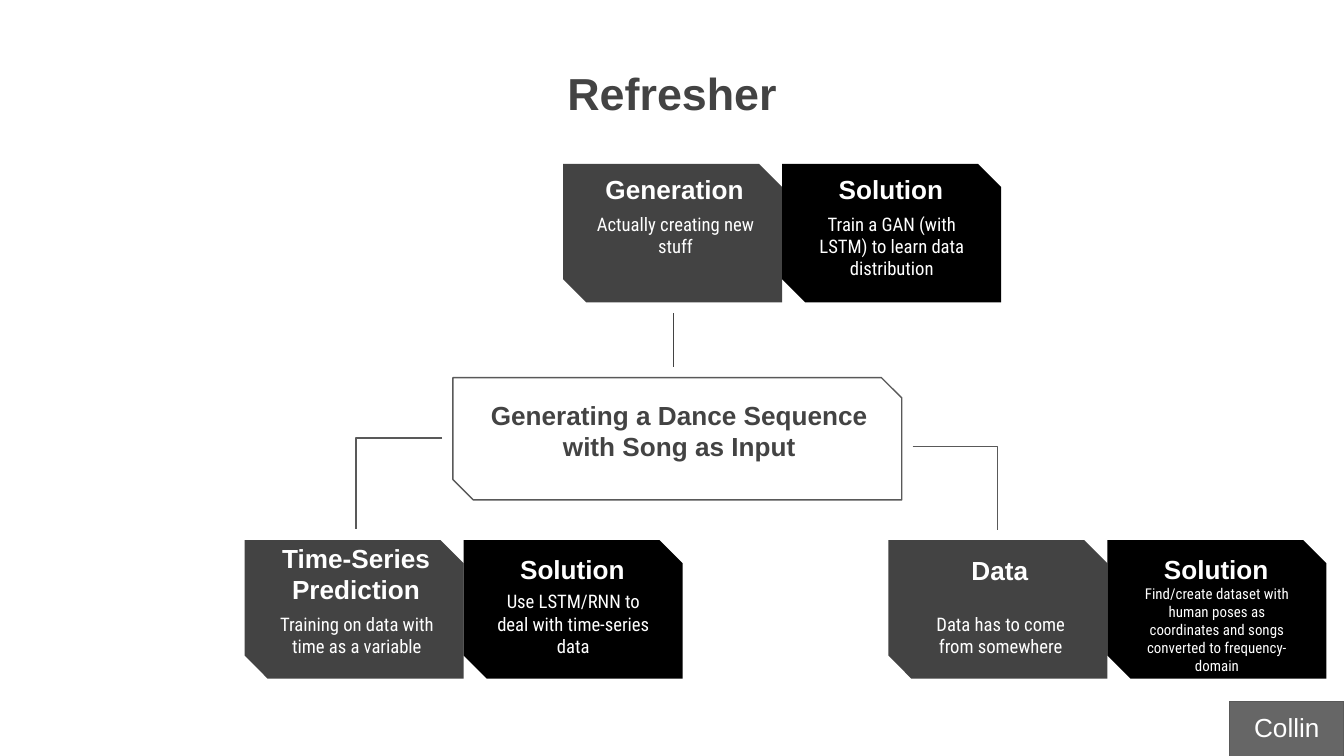
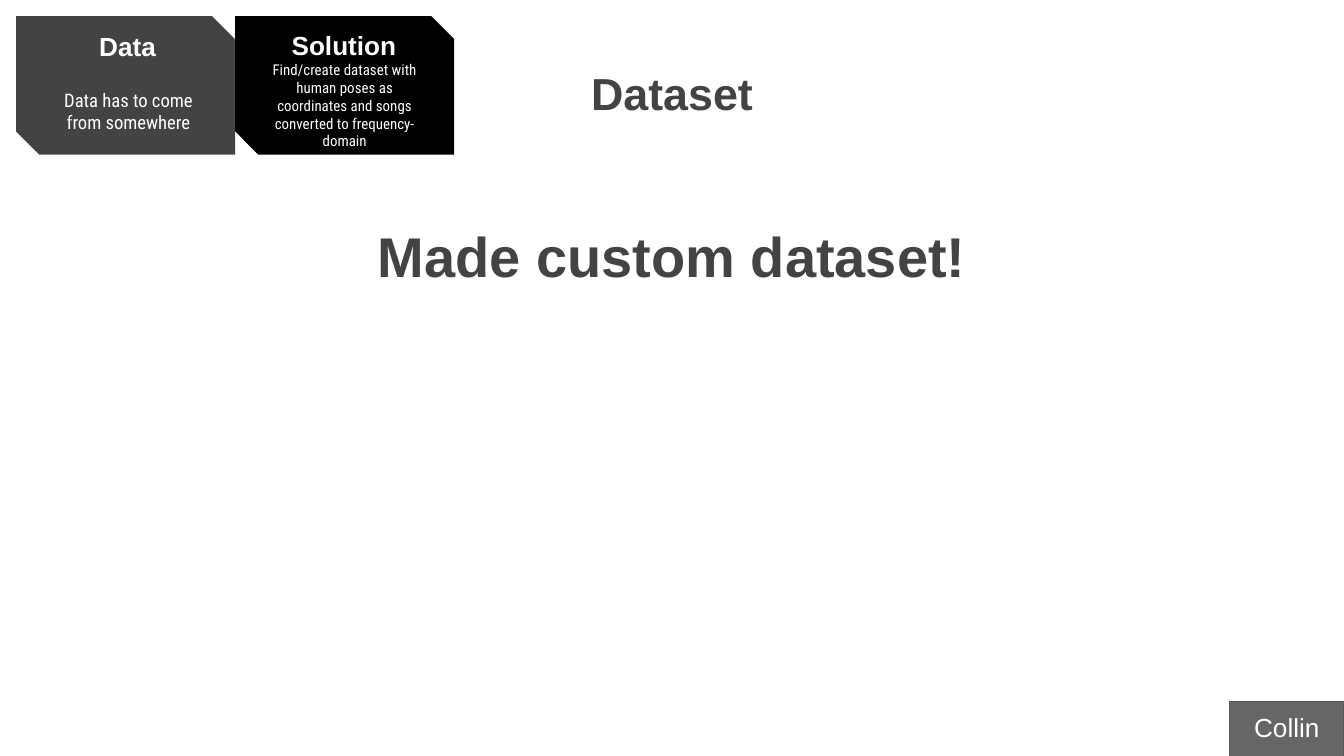
from dataclasses import dataclass

from lxml import etree
from pptx import Presentation
from pptx.dml.color import RGBColor
from pptx.enum import shapes, text
from pptx.oxml.ns import qn
from pptx.util import Inches, Pt


@dataclass(frozen=True)
class Theme:
    """Colours, fonts and type sizes shared by the slides."""
    ink: str = "434343"
    black: str = "000000"
    white: str = "FFFFFF"
    outline: str = "595959"
    tag: str = "666666"
    head_font: str = "Arial"
    body_font: str = "Roboto Condensed"
    title: int = 24
    statement: int = 30
    heading: int = 14
    body: int = 10
    small: int = 8
    rule: float = 0.75


@dataclass(frozen=True)
class Card:
    """One card's wording and how far its texts sit below its top edge."""
    heading: str
    body: str
    heading_drop: float
    body_drop: float
    body_size: int = Theme.body


THEME = Theme()
SLIDE_W = 10
SLIDE_H = SLIDE_W * 9 / 16
CARD_W, CARD_H = 1.63, 1.03
HEADING_W, HEADING_H = 1.56, 0.43
BODY_W, BODY_H = 1.41, 0.68
TITLE_BOX = (2.15, 0.39, 5.7, 1.03)
PAIR_LOOK = ((THEME.ink, 0.05), (THEME.black, 0.03))

GENERATION = (
    Card("Generation", "Actually creating new stuff", -0.03, 0.26),
    Card("Solution", "Train a GAN (with LSTM) to learn data distribution", -0.03, 0.26),
)
TIME_SERIES = (
    Card("Time-Series Prediction", "Training on data with time as a variable", 0.15, 0.44),
    Card("Solution", "Use LSTM/RNN to deal with time-series data", 0, 0.27),
)
DATA = (
    Card("Data", "Data has to come from somewhere", 0.01, 0.44),
    Card("Solution", "Find/create dataset with human poses as coordinates and songs "
         "converted to frequency-domain", 0, 0.23, THEME.small),
)


def rgb(value):
    """Turn a hex string into a colour."""
    return RGBColor.from_string(value)


def inches(*lengths):
    """Turn numbers into lengths in inches."""
    return [Inches(length) for length in lengths]


def write(frame, wording, *, size, color, font=THEME.head_font, bold=False,
          anchor=text.MSO_ANCHOR.TOP):
    """Put one centred, formatted paragraph into a text frame."""
    frame.text = wording
    frame.word_wrap = True
    frame.auto_size = text.MSO_AUTO_SIZE.NONE
    frame.vertical_anchor = anchor
    frame.margin_left = frame.margin_right = Inches(0.1)
    frame.margin_top = frame.margin_bottom = Inches(0.1)
    paragraph = frame.paragraphs[0]
    paragraph.alignment = text.PP_ALIGN.CENTER
    paragraph.space_before = Pt(0)
    run_font = paragraph.runs[0].font
    run_font.name, run_font.size, run_font.bold = font, Pt(size), bold
    run_font.color.rgb = rgb(color)


def add_text(slide, box, wording, **style):
    """Add a text box."""
    write(slide.shapes.add_textbox(*inches(*box)).text_frame, wording, **style)


def add_panel(slide, preset, box, fill=None, line=None):
    """Add a flat shape with an optional fill and outline."""
    panel = slide.shapes.add_shape(preset, *inches(*box))
    panel.shadow.inherit = False
    if fill:
        panel.fill.solid()
        panel.fill.fore_color.rgb = rgb(fill)
    else:
        panel.fill.background()
    if line:
        panel.line.color.rgb = rgb(line)
        panel.line.width = Pt(THEME.rule)
    else:
        panel.line.fill.background()
    return panel


def add_snipped(slide, box, **look):
    """Add a panel with two opposite corners cut off."""
    panel = add_panel(slide, shapes.MSO_SHAPE.SNIP_2_DIAG_RECTANGLE, box, **look)
    panel.adjustments[0], panel.adjustments[1] = 0, 0.167


def add_link(slide, kind, start, end, color):
    """Add a thin connector; an elbow turns once, right above its end."""
    link = slide.shapes.add_connector(kind, *inches(*start, *end))
    link.line.color.rgb = rgb(color)
    link.line.width = Pt(THEME.rule)
    properties = link._element.spPr
    etree.SubElement(properties, qn("a:effectLst"))
    if kind == shapes.MSO_CONNECTOR.ELBOW:
        guides = properties.find(qn("a:prstGeom")).get_or_add_avLst()
        etree.SubElement(guides, qn("a:gd"), name="adj1", fmla="val 100000")


def add_card(slide, left, top, card, fill, inset):
    """Add a snipped card with its heading and body."""
    add_snipped(slide, (left, top, CARD_W, CARD_H), fill=fill)
    add_text(slide, (left + inset, top + card.heading_drop, HEADING_W, HEADING_H),
             card.heading, size=THEME.heading, color=THEME.white, bold=True,
             anchor=text.MSO_ANCHOR.BOTTOM)
    add_text(slide, (left + inset + 0.08, top + card.body_drop, BODY_W, BODY_H),
             card.body, size=card.body_size, color=THEME.white, font=THEME.body_font)


def add_pair(slide, left, top, pair):
    """Add a problem card with its solution card to the right."""
    for column, (card, (fill, inset)) in enumerate(zip(pair, PAIR_LOOK)):
        add_card(slide, left + column * CARD_W, top, card, fill, inset)


def add_goal(slide, left, top):
    """Add the outlined goal in the middle of the diagram."""
    add_snipped(slide, (left, top, 3.34, 0.91), line=THEME.outline)
    add_text(slide, (left + 0.12, top + 0.3, 3.13, HEADING_H),
             "Generating a Dance Sequence with Song as Input",
             size=THEME.heading, color=THEME.ink, bold=True,
             anchor=text.MSO_ANCHOR.BOTTOM)


def start_slide(deck, title):
    """Add a slide with its title and the speaker tag."""
    slide = deck.slides.add_slide(deck.slide_layouts[5])
    heading = slide.shapes.title
    heading.left, heading.top, heading.width, heading.height = inches(*TITLE_BOX)
    write(heading.text_frame, title, size=THEME.title, color=THEME.ink, bold=True)
    speaker = add_panel(slide, shapes.MSO_SHAPE.RECTANGLE, (9.15, 5.22, 0.85, 0.41),
                        fill=THEME.tag, line=THEME.outline)
    write(speaker.text_frame, "Collin", size=THEME.heading, color=THEME.white,
          anchor=text.MSO_ANCHOR.BOTTOM)
    return slide


def build_refresher(deck):
    """Build the diagram of the goal and its three problems."""
    slide = start_slide(deck, "Refresher")
    add_pair(slide, 4.19, 1.22, GENERATION)
    add_pair(slide, 1.82, 4.02, TIME_SERIES)
    add_pair(slide, 6.61, 4.02, DATA)
    add_goal(slide, 3.37, 2.81)
    kinds = shapes.MSO_CONNECTOR
    add_link(slide, kinds.CURVE, (5.01, 2.33), (5.01, 2.73), THEME.ink)
    add_link(slide, kinds.ELBOW, (3.29, 3.26), (2.65, 3.94), THEME.outline)
    add_link(slide, kinds.ELBOW, (6.79, 3.32), (7.42, 3.94), THEME.outline)


def build_dataset(deck):
    """Build the slide that announces the dataset."""
    slide = start_slide(deck, "Dataset")
    add_pair(slide, 0.12, 0.12, DATA)
    left, _, width, height = TITLE_BOX
    add_text(slide, (left, 1.55, width, height), "Made custom dataset!",
             size=THEME.statement, color=THEME.ink, bold=True)


def main():
    """Build and save the deck."""
    deck = Presentation()
    deck.slide_width, deck.slide_height = inches(SLIDE_W, SLIDE_H)
    build_refresher(deck)
    build_dataset(deck)
    deck.save("out.pptx")


if __name__ == "__main__":
    main()
